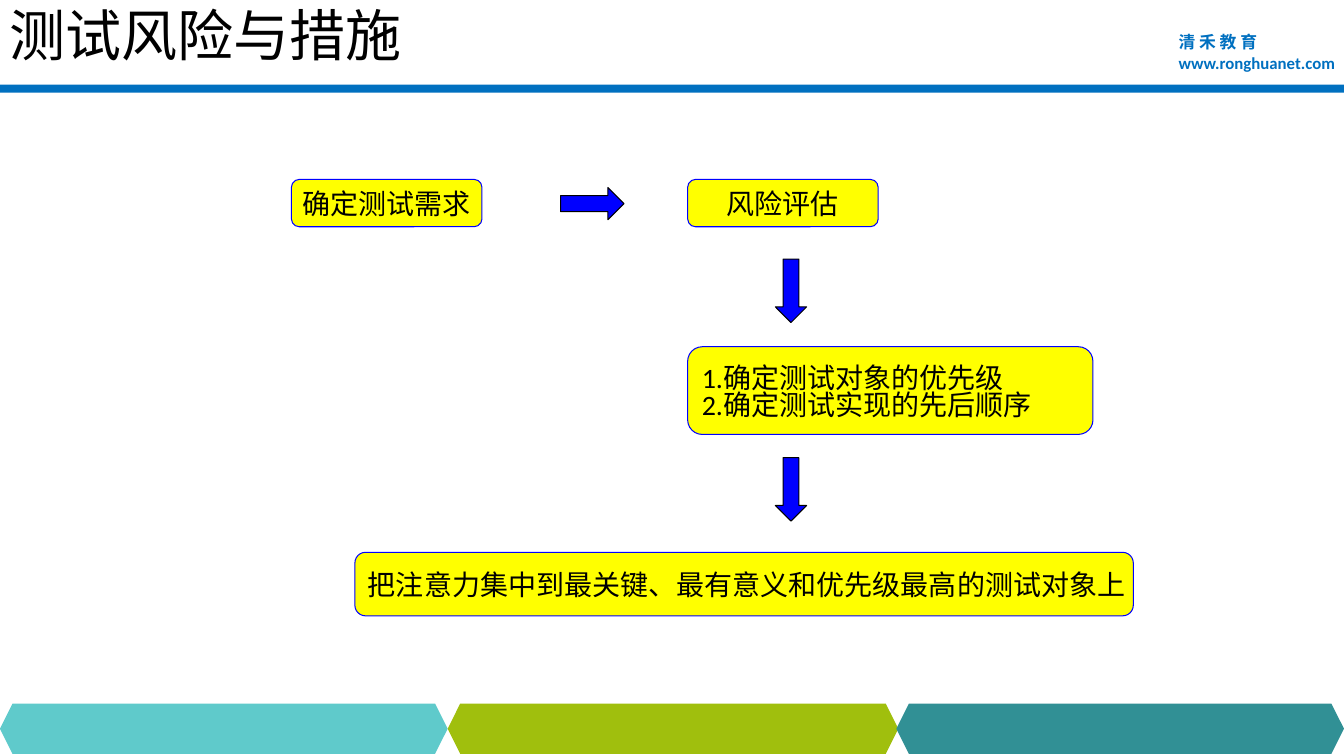
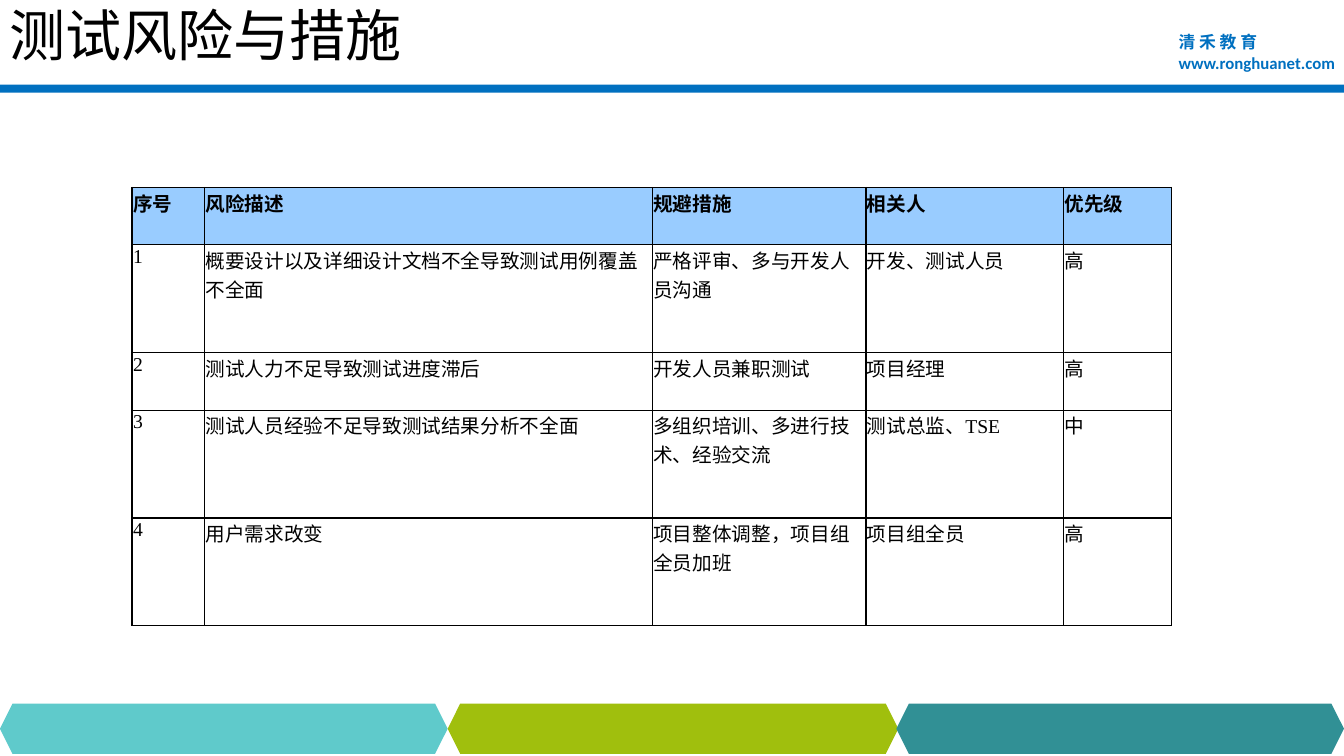
"""Build two slides on test risks and the measures against them."""
from dataclasses import dataclass
from itertools import groupby

from lxml import etree
from pptx import Presentation
from pptx.dml.color import RGBColor
from pptx.enum.shapes import MSO_SHAPE
from pptx.enum.text import MSO_ANCHOR, PP_ALIGN
from pptx.oxml.ns import qn
from pptx.util import Emu, Pt

RECTANGLE = MSO_SHAPE.RECTANGLE
HEXAGON = MSO_SHAPE.HEXAGON
ROUNDED = MSO_SHAPE.ROUNDED_RECTANGLE
RIGHT_ARROW = MSO_SHAPE.RIGHT_ARROW
DOWN_ARROW = MSO_SHAPE.DOWN_ARROW
LEFT, CENTER = PP_ALIGN.LEFT, PP_ALIGN.CENTER
TOP, MIDDLE = MSO_ANCHOR.TOP, MSO_ANCHOR.MIDDLE

EMU_PER_PX = 9144
SLIDE_WIDTH, SLIDE_HEIGHT = 1333, 750
BLANK_LAYOUT = 6


@dataclass(frozen=True)
class Theme:
    """Hold the colours, fonts and type sizes that the slides share."""

    ink: str = "000000"
    brand: str = "0070C0"
    footer: tuple = ("5FCACB", "A0BF0D", "319095")
    step: str = "FFFF00"
    accent: str = "0000FF"
    table_head: str = "99CCFF"
    title_font: str = "Arial"
    body_font: str = "Calibri"
    chinese_font: str = "Noto Sans CJK SC"
    latin_font: str = "Times New Roman"
    title_size: int = 40
    step_size: int = 20
    table_size: int = 14
    brand_size: int = 12
    outline: float = 0.75
    border: float = 1


THEME = Theme()
TITLE = "测试风险与措施"
BRAND_LINES = (("清 禾 教 育", THEME.chinese_font),
               ("www.ronghuanet.com", THEME.body_font))
FOOTER_BANDS = ((0, 444), (444, 447), (889, 444))

STEPS = (
    ((289, 178, 189, 47), ("确定测试需求",), CENTER),
    ((682, 178, 189, 47), ("风险评估",), CENTER),
    ((682, 344, 402, 87), ("1.确定测试对象的优先级", "2.确定测试实现的先后顺序"), LEFT),
    ((352, 548, 772, 63), ("把注意力集中到最关键、最有意义和优先级最高的测试对象上",), LEFT),
)
ARROWS = (
    (RIGHT_ARROW, (556, 186, 63, 32)),
    (DOWN_ARROW, (769, 257, 31, 63)),
    (DOWN_ARROW, (769, 454, 31, 63)),
)

RISK_PLACE = (131, 186)
RISK_COLUMNS = (72, 444, 212, 196, 107)
RISK_HEIGHTS = (57, 107, 57, 107, 107)
RISK_ROWS = (
    ("序号", "风险描述", "规避措施", "相关人", "优先级"),
    ("1", "概要设计以及详细设计文档不全导致测试用例覆盖不全面",
     "严格评审、多与开发人员沟通", "开发、测试人员", "高"),
    ("2", "测试人力不足导致测试进度滞后", "开发人员兼职测试", "项目经理", "高"),
    ("3", "测试人员经验不足导致测试结果分析不全面",
     "多组织培训、多进行技术、经验交流", "测试总监、TSE", "中"),
    ("4", "用户需求改变", "项目整体调整，项目组全员加班", "项目组全员", "高"),
)


def px(length):
    """Turn a length in px into EMU."""
    return Emu(length * EMU_PER_PX)


def set_all(target, values):
    """Set every attribute of the target that the dict names."""
    for name, value in values.items():
        setattr(target, name, value)


def add_span(para, text, font, size, color=THEME.ink, bold=False):
    """Add one formatted run to a paragraph."""
    span = para.add_run()
    span.text = text
    set_all(span.font, {"name": font, "size": Pt(size), "bold": bold})
    span.font.color.rgb = RGBColor.from_string(color)
    properties = span._r.get_or_add_rPr()
    etree.SubElement(properties, qn("a:ea"), typeface=THEME.chinese_font)


def add_para(frame, index):
    """Return the first paragraph of a frame, or a new one after it."""
    return frame.add_paragraph() if index else frame.paragraphs[0]


def add_text(page, place, lines, size, anchor, **style):
    """Add a text box with one paragraph for each pair of text and font."""
    box = page.shapes.add_textbox(*map(px, place))
    set_all(box.text_frame, {"word_wrap": True, "vertical_anchor": anchor})
    for index, (text, font) in enumerate(lines):
        add_span(add_para(box.text_frame, index), text, font, size, **style)


def add_block(page, kind, place, fill, line=None):
    """Add a flat preset shape, outlined when a line colour is given."""
    block = page.shapes.add_shape(kind, *map(px, place))
    block.shadow.inherit = False
    block.fill.solid()
    block.fill.fore_color.rgb = RGBColor.from_string(fill)
    if line:
        block.line.color.rgb = RGBColor.from_string(line)
        block.line.width = Pt(THEME.outline)
    else:
        block.line.fill.background()
    return block


def add_step(page, place, lines, align):
    """Add a rounded box that holds one step of the flow."""
    frame = add_block(page, ROUNDED, place, THEME.step, THEME.accent).text_frame
    set_all(frame, {"word_wrap": False, "vertical_anchor": MIDDLE})
    for index, text in enumerate(lines):
        para = add_para(frame, index)
        set_all(para, {"alignment": align, "line_spacing": 0.8 if index else 1.0})
        add_span(para, text, THEME.body_font, THEME.step_size)


def add_borders(cell):
    """Draw the four borders of a table cell."""
    properties = cell._tc.get_or_add_tcPr()
    for index, side in enumerate(("lnL", "lnR", "lnT", "lnB")):
        line = etree.Element(qn(f"a:{side}"), w=str(Pt(THEME.border)))
        fill = etree.SubElement(line, qn("a:solidFill"))
        etree.SubElement(fill, qn("a:srgbClr"), val=THEME.ink)
        properties.insert(index, line)


def fill_cell(cell, text, is_head):
    """Write and format one table cell, with Latin text in its own font."""
    set_all(cell, {"margin_left": px(1), "margin_top": px(1),
                   "margin_right": px(1), "margin_bottom": px(0)})
    if is_head:
        cell.fill.solid()
        cell.fill.fore_color.rgb = RGBColor.from_string(THEME.table_head)
    else:
        cell.fill.background()
    for is_latin, letters in groupby(text, str.isascii):
        font = THEME.latin_font if is_latin else THEME.chinese_font
        add_span(cell.text_frame.paragraphs[0], "".join(letters), font,
                 THEME.table_size, bold=is_head)
    add_borders(cell)


def add_risk_table(page):
    """Add the table of risks and measures."""
    size = (sum(RISK_COLUMNS), sum(RISK_HEIGHTS))
    table = page.shapes.add_table(len(RISK_ROWS), len(RISK_COLUMNS),
                                  *map(px, RISK_PLACE + size)).table
    table.horz_banding = False
    for column, width in zip(table.columns, RISK_COLUMNS):
        column.width = px(width)
    for index, (row, height) in enumerate(zip(table.rows, RISK_HEIGHTS)):
        row.height = px(height)
        for cell, text in zip(row.cells, RISK_ROWS[index]):
            fill_cell(cell, text, index == 0)


def add_page(deck):
    """Add a page with the shared header, title and footer."""
    page = deck.slides.add_slide(deck.slide_layouts[BLANK_LAYOUT])
    add_block(page, RECTANGLE, (0, 84, SLIDE_WIDTH, 8), THEME.brand)
    add_text(page, (1159, 27, 182, 50), BRAND_LINES, THEME.brand_size, TOP,
             color=THEME.brand, bold=True)
    for (left, width), color in zip(FOOTER_BANDS, THEME.footer):
        add_block(page, HEXAGON, (left, 698, width, 50), color)
    add_text(page, (0, -1, 1000, 70), ((TITLE, THEME.title_font),),
             THEME.title_size, MIDDLE)
    return page


def add_flow(page):
    """Add the steps of the risk flow and the arrows between them."""
    for place, lines, align in STEPS:
        add_step(page, place, lines, align)
    for kind, place in ARROWS:
        add_block(page, kind, place, THEME.accent, THEME.ink)


def main():
    """Build and save the deck."""
    deck = Presentation()
    set_all(deck, {"slide_width": px(SLIDE_WIDTH), "slide_height": px(SLIDE_HEIGHT)})
    add_flow(add_page(deck))
    add_risk_table(add_page(deck))
    deck.save("out.pptx")


if __name__ == "__main__":
    main()
